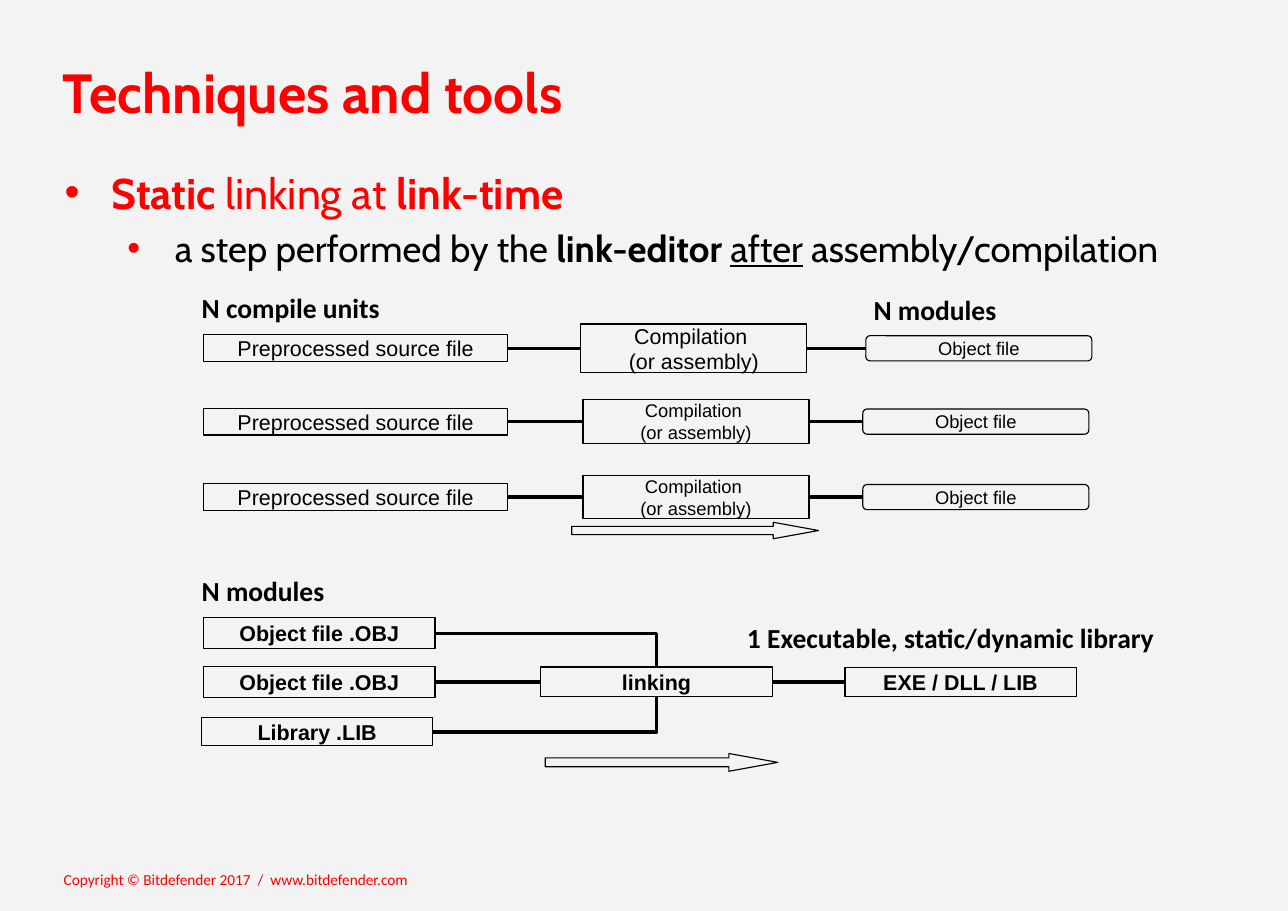
"""Builds the slide on static linking at link-time."""
from lxml import etree
from pptx import Presentation
from pptx.dml.color import RGBColor
from pptx.enum.shapes import MSO_CONNECTOR, MSO_SHAPE
from pptx.enum.text import MSO_ANCHOR, PP_ALIGN
from pptx.oxml.ns import qn
from pptx.util import Cm, Pt

ELBOW = MSO_CONNECTOR.ELBOW
RECTANGLE, ROUNDED = MSO_SHAPE.RECTANGLE, MSO_SHAPE.ROUNDED_RECTANGLE
ARROW = MSO_SHAPE.RIGHT_ARROW
TOP, LEFT, BOTTOM, RIGHT = range(4)
RED, BLACK, BACKGROUND = "FF0000", "000000", "F3F3F3"

TITLE = "Techniques and tools"
COPYRIGHT = "Copyright © Bitdefender 2017  /  www.bitdefender.com"
BULLETS = [
    (28, RED, 1.09, [("Static ", "b"), ("linking at ", ""), ("link-time", "b")]),
    (24, BLACK, 2.54, [("a step performed by the ", ""), ("link-editor ", "b"),
                       ("after", "u"), (" assembly/compilation", "")]),
]
LABELS = [
    ("N compile units", 4.4, 6.58, 7.1),
    ("N modules", 19.89, 6.63, 3.53),
    ("N modules", 4.4, 13.11, 3.51),
    ("1 Executable, static/dynamic library", 16.97, 14.2, 11.18),
]
SOURCE_FILE, OBJECT_FILE = ["Preprocessed source file"], ["Object file"]
COMPILATION = ["Compilation ", "(or assembly)"]
# centre, compilation left, height and text size, object file left
COMPILE_ROWS = [
    (8.03, 13.39, 1.12, 14, 19.96),
    (9.72, 13.44, 1, 12, 19.89),
    (11.46, 13.44, 0.99, 12, 19.89),
]
LINK_INPUTS = [
    ("Object file .OBJ", 4.7, 14.6, 0.71, TOP),
    ("Object file .OBJ", 4.7, 15.72, 0.71, LEFT),
    ("Library .LIB", 4.65, 16.87, 0.64, BOTTOM),
]
FLOW_ARROWS = [(13.18, 12.04, 5.69, 0.38), (12.57, 17.37, 5.36, 0.41)]
LINK_WIDTH = 5.33


def colour(value):
    return RGBColor.from_string(value)


def add_run(paragraph, text, font_name, size, value, style=""):
    run = paragraph.add_run()
    run.text = text
    run.font.name = font_name
    run.font.size = Pt(size)
    run.font.color.rgb = colour(value)
    run.font.bold = "b" in style
    run.font.underline = "u" in style


def add_text_frame(slide, left, top, width, height, wrap=True):
    frame = slide.shapes.add_textbox(Cm(left), Cm(top), Cm(width), Cm(height)).text_frame
    frame.word_wrap = wrap
    return frame


def add_bullets(frame):
    for index, (size, value, margin, runs) in enumerate(BULLETS):
        paragraph = frame.add_paragraph() if index else frame.paragraphs[0]
        paragraph.level = index
        if index:
            paragraph.space_before = Pt(5)
        properties = paragraph._p.get_or_add_pPr()
        properties.set("marL", str(Cm(margin)))
        properties.set("indent", str(Cm(-1.09)))
        bullet_colour = etree.SubElement(properties, qn("a:buClr"))
        etree.SubElement(bullet_colour, qn("a:srgbClr"), val=RED)
        etree.SubElement(properties, qn("a:buFont"), typeface="Arial")
        etree.SubElement(properties, qn("a:buChar"), char="•")
        for text, style in runs:
            add_run(paragraph, text, "Cabin", size, value, style)


def add_outline(slide, kind, left, top, width, height):
    shape = slide.shapes.add_shape(kind, Cm(left), Cm(top), Cm(width), Cm(height))
    shape.shadow.inherit = False
    shape.fill.background()
    shape.line.color.rgb = colour(BLACK)
    shape.line.width = Pt(0.75)
    return shape


def add_box(slide, lines, left, centre, width, height, size=14, style="", kind=RECTANGLE):
    shape = add_outline(slide, kind, left, centre - height / 2, width, height)
    frame = shape.text_frame
    frame.margin_left = frame.margin_right = frame.margin_top = frame.margin_bottom = 0
    frame.vertical_anchor = MSO_ANCHOR.MIDDLE
    frame.word_wrap = True
    for index, line in enumerate(lines):
        paragraph = frame.add_paragraph() if index else frame.paragraphs[0]
        paragraph.alignment = PP_ALIGN.CENTER
        add_run(paragraph, line, "Arial", size, BLACK, style)
    return shape


def connect(slide, start, end, end_site=LEFT):
    connector = slide.shapes.add_connector(ELBOW, 0, 0, 0, 0)
    connector.begin_connect(start, RIGHT)
    connector.end_connect(end, end_site)
    connector.line.color.rgb = colour(BLACK)
    connector.line.width = Pt(2.25)
    properties = connector.element.spPr
    etree.SubElement(properties, qn("a:effectLst"))
    if end_site != LEFT:
        properties.find(qn("a:prstGeom")).set("prst", "bentConnector2")


def add_compile_diagram(slide):
    for centre, step_left, step_height, step_size, object_left in COMPILE_ROWS:
        source = add_box(slide, SOURCE_FILE, 4.7, centre, 7, 0.62)
        step = add_box(slide, COMPILATION, step_left, centre, 5.21, step_height, step_size)
        result = add_box(slide, OBJECT_FILE, object_left, centre, 5.21, 0.58, 12, kind=ROUNDED)
        connect(slide, source, step)
        connect(slide, step, result)


def add_link_diagram(slide):
    linking = add_box(slide, ["linking"], 12.47, 15.72, LINK_WIDTH, 0.69, style="b")
    library = add_box(slide, ["EXE / DLL / LIB"], 19.48, 15.72, LINK_WIDTH, 0.66, style="b")
    connect(slide, linking, library)
    for text, left, centre, height, site in LINK_INPUTS:
        module = add_box(slide, [text], left, centre, LINK_WIDTH, height, style="b")
        connect(slide, module, linking, site)


def main():
    presentation = Presentation()
    presentation.slide_width, presentation.slide_height = Cm(29.69), Cm(21)
    slide = presentation.slides.add_slide(presentation.slide_layouts[6])
    slide.background.fill.solid()
    slide.background.fill.fore_color.rgb = colour(BACKGROUND)

    title = add_text_frame(slide, 1.2, 1.22, 22.6, 2)
    add_run(title.paragraphs[0], TITLE, "Cabin", 36, RED, "b")
    add_bullets(add_text_frame(slide, 1.24, 3.71, 27.4, 3))
    for text, left, top, width in LABELS:
        label = add_text_frame(slide, left, top, width, 1.02)
        add_run(label.paragraphs[0], text, "Calibri", 18, BLACK, "b")
    add_compile_diagram(slide)
    add_link_diagram(slide)
    for bounds in FLOW_ARROWS:
        arrow = add_outline(slide, ARROW, *bounds)
        arrow.adjustments[1] = 2.75
    footer = add_text_frame(slide, 1.22, 19.94, 8.7, 0.7, wrap=False)
    add_run(footer.paragraphs[0], COPYRIGHT, "Calibri", 10, RED)
    presentation.save("out.pptx")


if __name__ == "__main__":
    main()
